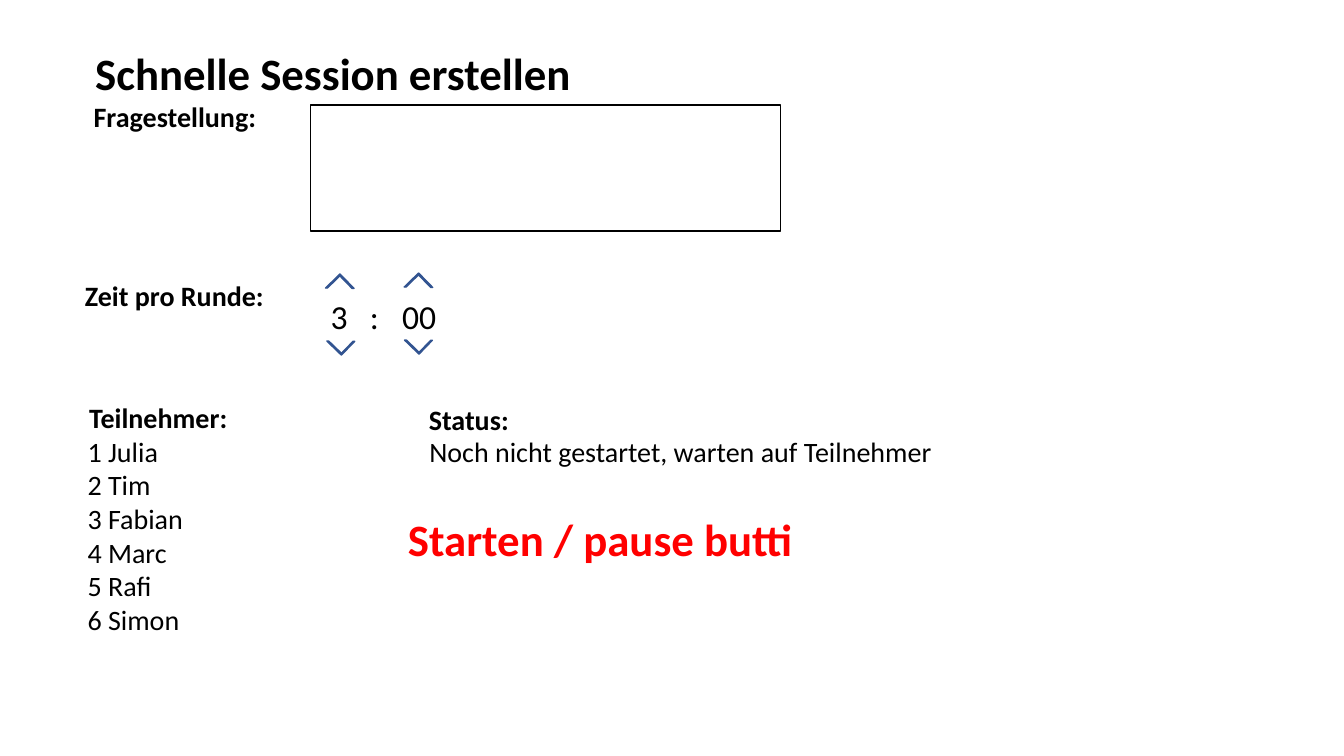
from dataclasses import dataclass

from lxml import etree
from pptx import Presentation
from pptx import util as u
from pptx.dml.color import RGBColor
from pptx.enum import shapes, text
from pptx.oxml import ns
from pptx.slide import Slide


@dataclass(frozen=True)
class Theme:
    font: str = "Calibri"
    ink: RGBColor = RGBColor(0, 0, 0)
    paper: RGBColor = RGBColor(255, 255, 255)
    alert: RGBColor = RGBColor(255, 0, 0)
    arrow_line: RGBColor = RGBColor(0x32, 0x54, 0x91)
    title_size: int = 32
    timer_size: int = 24
    body_size: int = 20
    line_width: int = 1


THEME = Theme()


@dataclass(frozen=True)
class Box:
    left: float
    top: float
    width: float
    height: float

    def lengths(self) -> list[u.Length]:
        return [u.Inches(n) for n in (self.left, self.top, self.width, self.height)]


@dataclass(frozen=True)
class Label:
    box: Box
    lines: tuple[str, ...]
    size: int = THEME.body_size
    bold: bool = True
    color: RGBColor = THEME.ink
    alignment: text.PP_ALIGN = text.PP_ALIGN.CENTER
    tab_stops: tuple[float, ...] = ()


@dataclass(frozen=True)
class Outline:
    box: Box
    kind: shapes.MSO_SHAPE
    fill: RGBColor
    line: RGBColor
    rotation: float = 0
    adjustments: tuple[float, ...] = ()


def stepper_arrow(left: float, top: float, height: float, rotation: float) -> Outline:
    return Outline(Box(left, top, 0.2, height), shapes.MSO_SHAPE.HALF_FRAME,
                   THEME.ink, THEME.arrow_line, rotation, (0.07, 0.063))


QUESTION_FIELD = Outline(Box(3.08, 1.04, 4.66, 1.25), shapes.MSO_SHAPE.RECTANGLE,
                         THEME.paper, THEME.ink)
STEPPER_ARROWS = (
    stepper_arrow(4.05, 2.75, 0.2, 45.8),
    stepper_arrow(3.27, 2.76, 0.2, 45.8),
    stepper_arrow(4.05, 3.28, 0.19, 224),
    stepper_arrow(3.28, 3.29, 0.19, 224),
)
PARTICIPANTS = ("Julia", "Tim", "Fabian", "Marc", "Rafi", "Simon")
LABELS = (
    Label(Box(0.39, 0.4, 5.83, 0.64), ("Schnelle Session erstellen",), THEME.title_size),
    Label(Box(-1.18, 0.94, 5.83, 0.44), ("Fragestellung:",)),
    Label(Box(0.45, 2.71, 2.56, 0.44), ("Zeit pro Runde:",)),
    Label(Box(3.18, 2.89, 2.4, 0.5), ("3\t:\t00",), THEME.timer_size, bold=False,
          alignment=text.PP_ALIGN.LEFT, tab_stops=(0.39, 0.71)),
    Label(Box(0.29, 3.92, 2.56, 0.44), ("Teilnehmer:",)),
    Label(Box(0.77, 4.26, 2.56, 2.12),
          tuple(f"{number} {name}" for number, name in enumerate(PARTICIPANTS, 1)),
          bold=False, alignment=text.PP_ALIGN.LEFT),
    Label(Box(3.37, 3.94, 2.56, 0.44), ("Status:",)),
    Label(Box(4.11, 4.26, 5.28, 0.44),
          ("Noch nicht gestartet, warten auf Teilnehmer",), bold=False),
    Label(Box(3.04, 5.03, 5.83, 0.64), ("Starten / pause butti",), THEME.title_size,
          color=THEME.alert),
)


def apply_format(target: object, values: dict[str, object]) -> None:
    for name, value in values.items():
        setattr(target, name, value)


def draw_outline(slide: Slide, outline: Outline) -> None:
    shape = slide.shapes.add_shape(outline.kind, *outline.box.lengths())
    shape.shadow.inherit = False
    shape.rotation = outline.rotation
    for index, value in enumerate(outline.adjustments):
        shape.adjustments[index] = value
    shape.fill.solid()
    shape.fill.fore_color.rgb = outline.fill
    shape.line.color.rgb = outline.line
    shape.line.width = u.Pt(THEME.line_width)


def draw_label(slide: Slide, label: Label) -> None:
    frame = slide.shapes.add_textbox(*label.box.lengths()).text_frame
    apply_format(frame, {"word_wrap": True,
                         "auto_size": text.MSO_AUTO_SIZE.SHAPE_TO_FIT_TEXT})
    for index, line in enumerate(label.lines):
        paragraph = frame.add_paragraph() if index else frame.paragraphs[0]
        paragraph.alignment = label.alignment
        if label.tab_stops:
            properties = paragraph._p.get_or_add_pPr()
            tab_list = etree.SubElement(properties, ns.qn("a:tabLst"))
            for position in label.tab_stops:
                etree.SubElement(tab_list, ns.qn("a:tab"),
                                 pos=str(u.Inches(position)), algn="l")
        run = paragraph.add_run()
        run.text = line
        apply_format(run.font, {"name": THEME.font, "size": u.Pt(label.size),
                                "bold": label.bold})
        run.font.color.rgb = label.color


def main() -> None:
    presentation = Presentation()
    apply_format(presentation, {"slide_width": u.Inches(13.33),
                                "slide_height": u.Inches(7.5)})
    slide = presentation.slides.add_slide(presentation.slide_layouts[6])
    for outline in (QUESTION_FIELD, *STEPPER_ARROWS):
        draw_outline(slide, outline)
    for label in LABELS:
        draw_label(slide, label)
    presentation.save("out.pptx")


if __name__ == "__main__":
    main()
